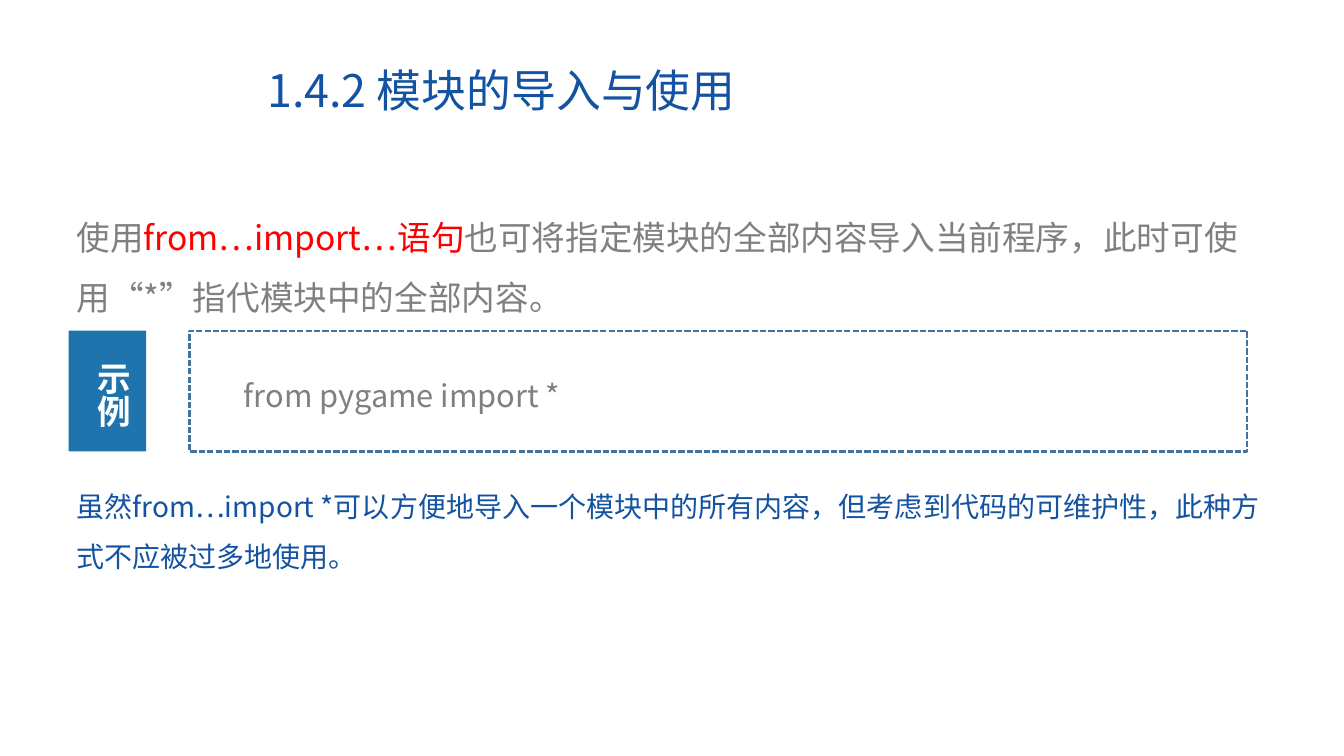
from pptx import Presentation
from pptx.dml.color import RGBColor
from pptx.enum.dml import MSO_LINE
from pptx.enum.shapes import MSO_SHAPE
from pptx.enum.text import MSO_ANCHOR, PP_ALIGN
from pptx.oxml.ns import qn
from pptx.util import Inches, Pt
from lxml import etree

RECTANGLE = MSO_SHAPE.RECTANGLE
SYS_DASH = MSO_LINE.SQUARE_DOT
TOP, MIDDLE = MSO_ANCHOR.TOP, MSO_ANCHOR.MIDDLE
LEFT, CENTER = PP_ALIGN.LEFT, PP_ALIGN.CENTER

BLUE = RGBColor(0x13, 0x53, 0xA2)
TAG_BLUE = RGBColor(0x1F, 0x74, 0xAD)
FRAME_BLUE = RGBColor(0x43, 0x73, 0x9E)
GRAY = RGBColor(0x80, 0x80, 0x80)
RED = RGBColor(0xFF, 0x00, 0x00)
WHITE = RGBColor(0xFF, 0xFF, 0xFF)


class SlideBuilder:
    font = "Noto Sans CJK SC"

    def __init__(self, slide):
        self.s = slide

    def fill_text(self, tf, runs, size, spacing=1.0, bold=False, align=LEFT,
                  anchor=TOP, wrap=True):
        tf.word_wrap = wrap
        tf.vertical_anchor = anchor
        p = tf.paragraphs[0]
        p.alignment = align
        p.line_spacing = spacing
        for text, color in runs:
            r = p.add_run()
            r.text = text
            r.font.size = Pt(size)
            r.font.bold = bold
            r.font.color.rgb = color
            r.font.name = self.font
            ea = etree.SubElement(r._r.get_or_add_rPr(), qn("a:ea"))
            ea.set("typeface", self.font)

    def title(self, text, box, color, size):
        sp = self.s.shapes.title
        sp.left, sp.top, sp.width, sp.height = map(Inches, box)
        self.fill_text(sp.text_frame, [(text, color)], size, spacing=0.9,
                       anchor=MIDDLE)

    def text(self, runs, box, size, vertical=False, **style):
        sp = self.s.shapes.add_textbox(*map(Inches, box))
        tf = sp.text_frame
        if vertical:
            tf._txBody.bodyPr.set("vert", "eaVert")
        self.fill_text(tf, runs, size, **style)

    def rect(self, box, fill=None, line=None):
        sp = self.s.shapes.add_shape(RECTANGLE, *map(Inches, box))
        sp.shadow.inherit = False
        if fill is None:
            sp.fill.background()
        else:
            sp.fill.solid()
            sp.fill.fore_color.rgb = fill
        if line is None:
            sp.line.fill.background()
        else:
            sp.line.color.rgb = line
            sp.line.width = Pt(1.5)
            sp.line.dash_style = SYS_DASH


def main():
    prs = Presentation()
    prs.slide_width, prs.slide_height = Inches(13.33), Inches(7.5)
    b = SlideBuilder(prs.slides.add_slide(prs.slide_layouts[5]))

    b.text([("使用", GRAY), ("from…import…语句", RED),
            ("也可将指定模块的全部内容导入当前程序，此时可使用“*”指代模块中的全部内容。", GRAY)],
           (0.66, 1.9, 12.01, 1.31), 24, spacing=1.5)
    b.text([("虽然from…import *可以方便地导入一个模块中的所有内容，"
             "但考虑到代码的可维护性，此种方式不应被过多地使用。", BLUE)],
           (0.66, 4.64, 12.01, 1.05), 20, spacing=1.5)
    b.title("1.4.2 模块的导入与使用", (2.55, 0.63, 9.14, 0.59), BLUE, 32)

    b.rect((1.88, 3.28, 10.49, 1.2), line=FRAME_BLUE)
    b.text([("from pygame import *", GRAY)], (2.32, 3.61, 9.62, 0.52), 22,
           spacing=1.2)
    b.rect((0.68, 3.28, 0.77, 1.2), fill=TAG_BLUE)
    b.text([("示例", WHITE)], (0.76, 3.49, 0.61, 0.77), 24, vertical=True,
           bold=True, align=CENTER, wrap=False)

    prs.save("out.pptx")


if __name__ == "__main__":
    main()
